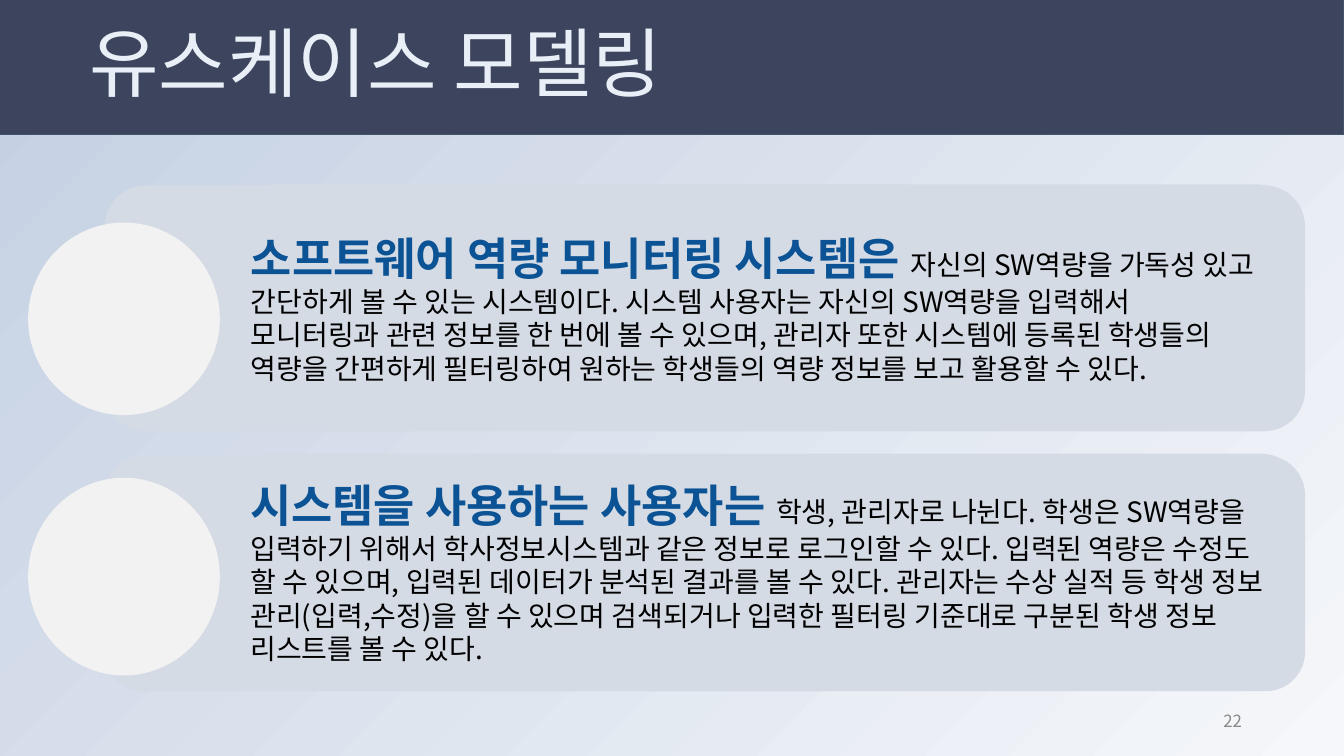
from lxml import etree
from pptx import Presentation
from pptx.dml.color import RGBColor
from pptx.enum.shapes import MSO_SHAPE
from pptx.enum.text import MSO_ANCHOR, PP_ALIGN
from pptx.oxml.ns import qn
from pptx.util import Cm, Pt

RECT, ROUND, OVAL = MSO_SHAPE.RECTANGLE, MSO_SHAPE.ROUNDED_RECTANGLE, MSO_SHAPE.OVAL
LEFT, RIGHT = PP_ALIGN.LEFT, PP_ALIGN.RIGHT
MIDDLE = MSO_ANCHOR.MIDDLE
FONT = "Noto Sans CJK KR"
HUES = {
    "pale": "F5F7FA", "sky": "C3CFE2", "navy": "3D445E", "edge": "44546A",
    "title": "E9EFF7", "card": "D5DBE5", "disc": "F2F2F2",
    "lead": "0B5394", "body": "000000", "page": "888888",
}


def write(shape, text, size, hue, bold=False, align=LEFT, space=1.0):
    frame = shape.text_frame
    frame.word_wrap = True
    frame.vertical_anchor = MIDDLE
    para = frame.paragraphs[0]
    para.alignment = align
    para.line_spacing = space
    run = para.add_run()
    run.text = text
    font = run.font
    font.size, font.bold, font.name = Pt(size), bold, FONT
    font.color.rgb = RGBColor.from_string(HUES[hue])
    etree.SubElement(font._element, qn("a:ea"), typeface=FONT)


def draw(kind, left, top, width, height, hue, edge=None):
    shape = slide.shapes.add_shape(kind, Cm(left), Cm(top), Cm(width), Cm(height))
    shape.shadow.inherit = False
    shape.fill.solid()
    shape.fill.fore_color.rgb = RGBColor.from_string(HUES[hue])
    if edge:
        shape.line.color.rgb = RGBColor.from_string(HUES[edge])
        shape.line.width = Pt(0.75)
    else:
        shape.line.fill.background()
    return shape


deck = Presentation()
deck.slide_width, deck.slide_height = Cm(33.87), Cm(19.05)
slide = deck.slides.add_slide(deck.slide_layouts[6])

back = slide.background.fill
back.gradient()
back.gradient_angle = 135
for stop, hue in zip(back.gradient_stops, ("pale", "sky")):
    stop.color.rgb = RGBColor.from_string(HUES[hue])

draw(RECT, 0, -0.03, 33.87, 3.43, "navy", "edge")
title = slide.shapes.add_textbox(Cm(2), Cm(-0.15), Cm(29.21), Cm(3.68))
write(title, "유스케이스 모델링", 54, "title", space=0.9)

cards = [
    (4.67, 4.65, 6.2, 5.61, 4.85, 0.6, "소프트웨어 역량 모니터링 시스템은 ",
     "자신의 SW역량을 가독성 있고 간단하게 볼 수 있는 시스템이다. "
     "시스템 사용자는 자신의 SW역량을 입력해서 모니터링과 관련 정보를 한 번에 볼 수 있으며, "
     "관리자 또한 시스템에 등록된 학생들의 역량을 간편하게 필터링하여 "
     "원하는 학생들의 역량 정보를 보고 활용할 수 있다."),
    (11.48, 11.43, 5.94, 12.04, 4.98, 0.25, "시스템을 사용하는 사용자는 ",
     "학생, 관리자로 나뉜다. 학생은 SW역량을 입력하기 위해서 "
     "학사정보시스템과 같은 정보로 로그인할 수 있다. "
     "입력된 역량은 수정도 할 수 있으며, 입력된 데이터가 분석된 결과를 볼 수 있다. "
     "관리자는 수상 실적 등 학생 정보 관리(입력,수정)을 할 수 있으며 "
     "검색되거나 입력한 필터링 기준대로 구분된 학생 정보 리스트를 볼 수 있다."),
]
for top, front, tall, disc, size, inset, lead, body in cards:
    draw(ROUND, 2.64, top, 30.25, tall, "card")
    draw(OVAL, 0.71, disc, 4.83, size, "disc")
    card = draw(ROUND, 5.77, front, 27, tall, "card")
    card.text_frame.margin_right = Cm(inset)
    write(card, lead, 32, "lead", bold=True)
    write(card, body, 20, "body")

page = slide.shapes.add_textbox(Cm(23.93), Cm(17.65), Cm(7.62), Cm(1.02))
write(page, "22", 12, "page", align=RIGHT)

deck.save("out.pptx")
